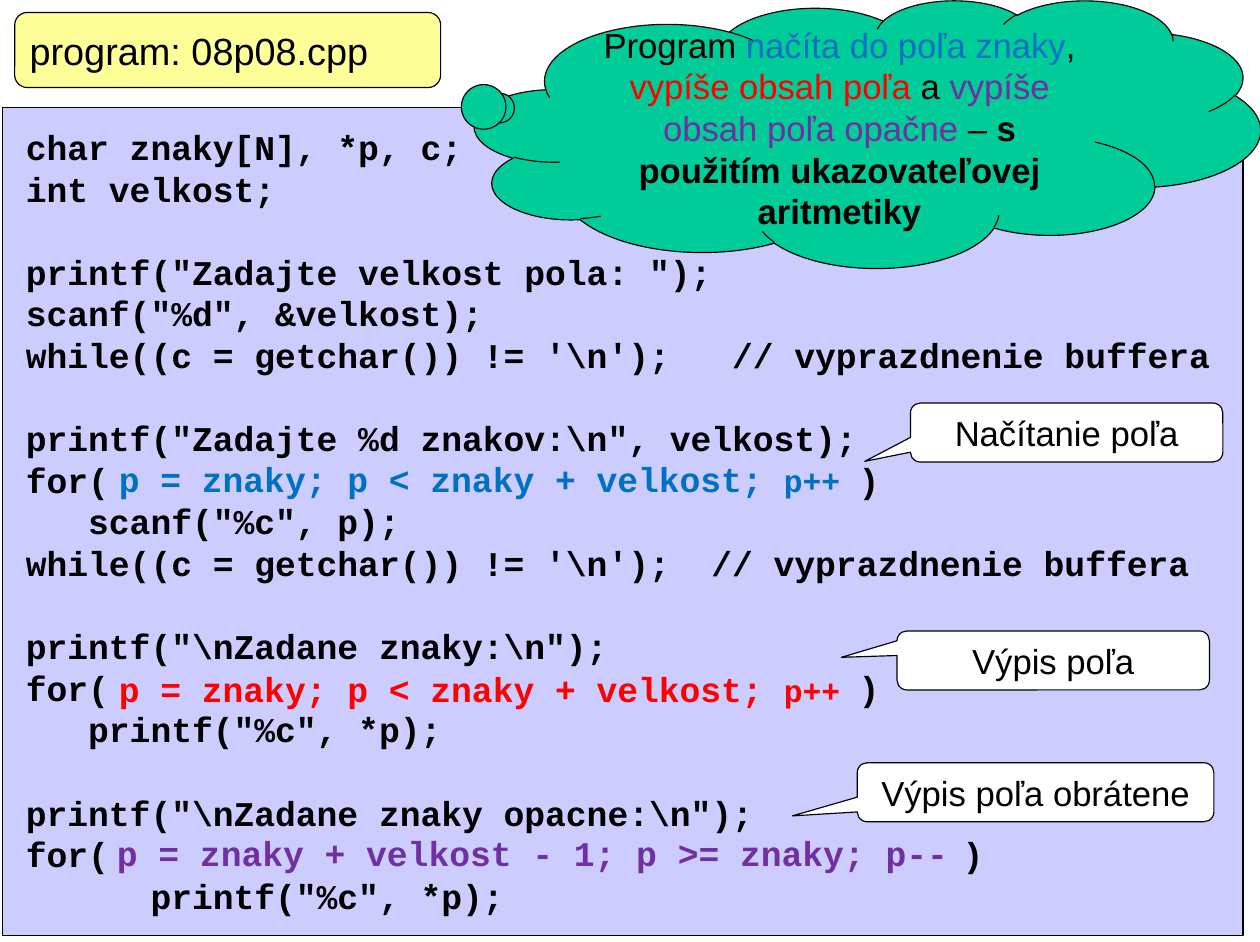
from dataclasses import dataclass

from lxml import etree
from pptx import Presentation
from pptx import util as u
from pptx.dml.color import RGBColor
from pptx.enum import shapes, text
from pptx.oxml import ns


@dataclass(frozen=True)
class Theme:
    ink: str = "000000"
    panel: str = "CCCCFF"
    cloud: str = "00CC99"
    title: str = "FFFF99"
    callout: str = "FFFFFF"
    read: str = "0070C0"
    show: str = "FF0000"
    reverse: str = "7030A0"
    sans: str = "Arial"
    mono: str = "Courier New"
    title_size: float = 24
    size: float = 22
    small: float = 19.9
    pitch: float = 26.4


theme = Theme()
LEFT, CENTER = text.PP_ALIGN.LEFT, text.PP_ALIGN.CENTER
KIND = shapes.MSO_SHAPE

deck = Presentation()
deck.slide_width, deck.slide_height = u.Cm(28.19), u.Cm(21.08)
slide = deck.slides.add_slide(deck.slide_layouts[6])


def add_box(kind, place, fill, adjustments=()):
    """Add an outlined shape; place is left, top, width, height in cm."""
    box = slide.shapes.add_shape(kind, *map(u.Cm, place))
    box.shadow.inherit = False
    box.fill.solid()
    box.fill.fore_color.rgb = RGBColor.from_string(fill)
    box.line.color.rgb = RGBColor.from_string(theme.ink)
    box.line.width = u.Pt(0.75)
    for i, value in enumerate(adjustments):
        box.adjustments[i] = value
    box.text_frame.word_wrap = True
    box.text_frame.vertical_anchor = text.MSO_ANCHOR.MIDDLE
    return box.text_frame


def write(paragraph, words, color=theme.ink, font=theme.sans, size=theme.size,
          bold=False, align=LEFT):
    paragraph.alignment = align
    paragraph.line_spacing = u.Pt(size * theme.pitch / theme.size)
    run = paragraph.add_run()
    run.text = words
    run.font.name, run.font.size, run.font.bold = font, u.Pt(size), bold
    run.font.color.rgb = RGBColor.from_string(color)


# Program listing: blocks are separated by one line of space
add_box(KIND.RECTANGLE, (0.05, 2.41, 27.76, 18.52), theme.panel)
blocks = [
    ["char znaky[N], *p, c;",
     "int velkost;"],
    [r'printf("Zadajte velkost pola: ");',
     'scanf("%d", &velkost);',
     r"while((c = getchar()) != '\n');   // vyprazdnenie buffera"],
    [r'printf("Zadajte %d znakov:\n", velkost);',
     "for(\t)",
     '   scanf("%c", p);',
     r"while((c = getchar()) != '\n');  // vyprazdnenie buffera"],
    [r'printf("\nZadane znaky:\n");',
     "for(\t)",
     '   printf("%c", *p);'],
    [r'printf("\nZadane znaky opacne:\n");',
     "for(\t)",
     '      printf("%c", *p);'],
]
listing = slide.shapes.add_textbox(u.Cm(0.33), u.Cm(2.69), u.Cm(27.8), u.Cm(18.1)).text_frame
listing.word_wrap = True
for b, block in enumerate(blocks):
    for n, line in enumerate(block):
        paragraph = listing.paragraphs[0] if b == n == 0 else listing.add_paragraph()
        if b and n == 0:
            paragraph.space_before = u.Pt(theme.pitch)
        if "\t" in line:
            bracket = u.Cm(20.96 if block is blocks[-1] else 18.63)
            tabs = etree.SubElement(paragraph._p.get_or_add_pPr(), ns.qn("a:tabLst"))
            etree.SubElement(tabs, ns.qn("a:tab"), pos=str(bracket), algn="l")
        write(paragraph, line, font=theme.mono, bold=True)

# Loop headers laid over the brackets
forward = "p = znaky; p < znaky + velkost; "
backward = "p = znaky + velkost - 1; p >= znaky; p--"
loops = [
    ((2.41, 10.11, 17.25, 1.19), theme.read, LEFT, [(forward, theme.size), ("p++", theme.small)]),
    ((2.41, 14.81, 17.25, 1.19), theme.show, LEFT, [(forward, theme.size), ("p++", theme.small)]),
    ((1.83, 18.49, 20.17, 1.19), theme.reverse, CENTER, [(backward, theme.size)]),
]
for place, color, align, parts in loops:
    header = slide.shapes.add_textbox(*map(u.Cm, place)).text_frame
    header.word_wrap = True
    for words, size in parts:
        write(header.paragraphs[0], words, color, theme.mono, size, True, align)
    header.paragraphs[0].line_spacing = u.Pt(theme.pitch)

# Task description
task = add_box(KIND.CLOUD_CALLOUT, (10.62, 0, 17.58, 5.99), theme.cloud, (-0.467, -0.096))
for words, color, bold in [
    ("Program ", theme.ink, False),
    ("načíta do poľa znaky", theme.read, False),
    (", ", theme.ink, False),
    ("vypíše obsah poľa", theme.show, False),
    (" a ", theme.ink, False),
    ("vypíše obsah poľa opačne ", theme.reverse, False),
    ("– ", theme.ink, False),
    ("s použitím ukazovateľovej aritmetiky", theme.ink, True),
]:
    write(task.paragraphs[0], words, color, bold=bold, align=CENTER)

program = add_box(KIND.ROUNDED_RECTANGLE, (0.33, 0.28, 9.53, 1.68), theme.title, (0.167,))
write(program.paragraphs[0], "program: 08p08.cpp", size=theme.title_size)

# Callouts naming each loop
for label, place, tip in [
    ("Načítanie poľa", (20.37, 9.02, 6.99, 1.32), (-0.646, 0.488)),
    ("Výpis poľa", (20.07, 14.12, 6.99, 1.32), (-0.678, -0.053)),
    ("Výpis poľa obrátene", (19.18, 17.07, 7.98, 1.32), (-0.682, 0.401)),
]:
    callout = add_box(KIND.ROUNDED_RECTANGULAR_CALLOUT, place, theme.callout, (*tip, 0.167))
    write(callout.paragraphs[0], label, align=CENTER)

deck.save("out.pptx")
